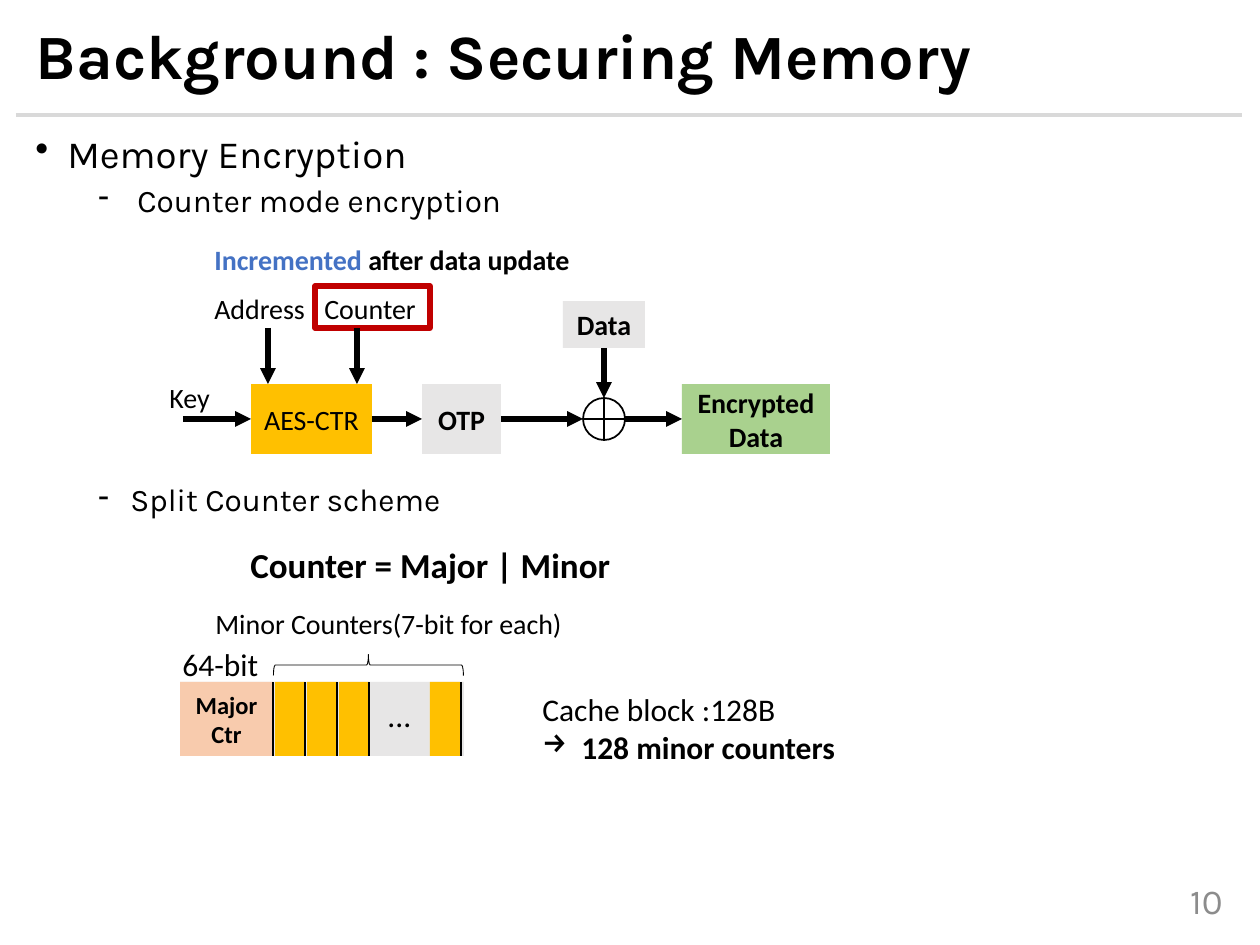
from dataclasses import dataclass
from typing import Optional

from lxml import etree
from pptx import Presentation
from pptx.dml.color import RGBColor
from pptx.enum.shapes import MSO_CONNECTOR, MSO_SHAPE
from pptx.enum.text import MSO_ANCHOR, PP_ALIGN
from pptx.oxml.ns import qn
from pptx.util import Emu, Pt

RECT, OVAL, BRACE = MSO_SHAPE.RECTANGLE, MSO_SHAPE.OVAL, MSO_SHAPE.RIGHT_BRACE
STRAIGHT = MSO_CONNECTOR.STRAIGHT
LEFT, CENTER, RIGHT = PP_ALIGN.LEFT, PP_ALIGN.CENTER, PP_ALIGN.RIGHT
TOP, MIDDLE = MSO_ANCHOR.TOP, MSO_ANCHOR.MIDDLE
SITE_TOP, SITE_LEFT, SITE_BOTTOM, SITE_RIGHT = range(4)

EMU_PER_PX = 914400 / 126
BLACK, GREY, AMBER = "000000", "E7E6E6", "FFC000"


@dataclass
class Span:
    text: str
    size: int = 16
    bold: bool = False
    color: str = BLACK
    font: str = "Calibri"


@dataclass
class Para:
    spans: list[Span]
    bullet: str = ""
    margin: int = 0
    hang: int = 0
    before: float = 0
    spacing: float = 1.0


@dataclass
class Label:
    left: int
    top: int
    width: int
    height: int
    paras: list[Para]
    align: PP_ALIGN = LEFT
    anchor: MSO_ANCHOR = TOP


@dataclass
class Block:
    left: int
    top: int
    width: int
    height: int
    fill: Optional[str] = None
    paras: tuple[Para, ...] = ()
    line: Optional[str] = None
    line_width: float = 1
    kind: MSO_SHAPE = RECT


@dataclass
class Link:
    start: tuple[int, int]
    end: tuple[int, int]
    width: float = 3
    arrow: bool = True
    color: str = BLACK
    source: Optional[tuple] = None
    target: Optional[tuple] = None


def px(value: int) -> Emu:
    return Emu(round(value * EMU_PER_PX))


def rgb(value: str) -> RGBColor:
    return RGBColor.from_string(value)


def para(text: str, size: int = 16, bold: bool = False) -> Para:
    return Para([Span(text, size, bold)])


def write(frame, paras, align, anchor) -> None:
    frame.word_wrap = True
    frame.vertical_anchor = anchor
    for index, item in enumerate(paras):
        line = frame.paragraphs[0] if index == 0 else frame.add_paragraph()
        line.alignment = align
        line.line_spacing = item.spacing
        line.space_before = Pt(item.before)
        if item.bullet:
            props = line._p.get_or_add_pPr()
            props.set("marL", str(px(item.margin)))
            props.set("indent", str(-px(item.hang)))
            etree.SubElement(props, qn("a:buChar")).set("char", item.bullet)
        for span in item.spans:
            run = line.add_run()
            run.text = span.text
            run.font.name = span.font
            run.font.size = Pt(span.size)
            run.font.bold = span.bold
            run.font.color.rgb = rgb(span.color)


def add_label(page, label: Label) -> None:
    box = page.shapes.add_textbox(px(label.left), px(label.top), px(label.width), px(label.height))
    write(box.text_frame, label.paras, label.align, label.anchor)


def add_block(page, block: Block):
    shape = page.shapes.add_shape(
        block.kind, px(block.left), px(block.top), px(block.width), px(block.height))
    shape.shadow.inherit = False
    if block.fill:
        shape.fill.solid()
        shape.fill.fore_color.rgb = rgb(block.fill)
    else:
        shape.fill.background()
    if block.line:
        shape.line.color.rgb = rgb(block.line)
        shape.line.width = Pt(block.line_width)
    else:
        shape.line.fill.background()
    if block.paras:
        write(shape.text_frame, block.paras, CENTER, MIDDLE)
    return shape


def add_link(page, link: Link) -> None:
    line = page.shapes.add_connector(STRAIGHT, *map(px, link.start + link.end))
    line.line.color.rgb = rgb(link.color)
    line.line.width = Pt(link.width)
    if link.arrow:
        outline = line.line._get_or_add_ln()
        etree.SubElement(outline, qn("a:tailEnd")).set("type", "triangle")
    etree.SubElement(line._element.spPr, qn("a:effectLst"))
    if link.source:
        line.begin_connect(*link.source)
    if link.target:
        line.end_connect(*link.target)


def add_text(page) -> None:
    body = [
        Para([Span("Memory Encryption", 22, font="Karla")], "•", 32, 32, 0, 0.9),
        Para([Span("Counter mode encryption", 18, font="Karla")], "-", 102, 39, 5, 0.9),
        Para([Span("Split Counter scheme", 18, font="Karla")], "-", 95, 32, 151.5, 0.9),
    ]
    title = Para([Span("Background : Securing Memory", 36, True, font="Karla")], spacing=0.9)
    number = Para([Span("10", 20, color="8C8C8C", font="Karla")])
    update = Para([Span("Incremented", bold=True, color="4472C4"),
                   Span(" after data update", bold=True)])
    minors = Para([Span("128 minor counters", 18, True)], "→", 39, 39)
    for label in (
        Label(23, 18, 1226, 83, [title], anchor=MIDDLE),
        Label(23, 129, 1226, 730, body),
        Label(1099, 876, 136, 50, [number], RIGHT, MIDDLE),
        Label(202, 236, 495, 47, [update]),
        Label(202, 285, 137, 47, [para("Address")]),
        Label(312, 285, 150, 47, [para("Counter")]),
        Label(157, 374, 81, 47, [para("Key")]),
        Label(238, 537, 418, 55, [para("Counter = Major | Minor", 20, True)]),
        Label(203, 600, 397, 47, [para("Minor Counters(7-bit for each)")]),
        Label(170, 639, 146, 50, [para("64-bit", 18)]),
        Label(530, 684, 430, 89, [para("Cache block :128B", 18), minors]),
    ):
        add_label(page, label)


def add_encryption(page) -> None:
    axis, center, radius = 419, 604, 21
    aes = add_block(page, Block(251, 384, 121, 70, AMBER, (para("AES-CTR"),)))
    otp = add_block(page, Block(422, 384, 79, 70, GREY, (para("OTP", bold=True),)))
    cipher = add_block(page, Block(682, 384, 148, 70, "A9D18E", (para("Encrypted Data", bold=True),)))
    data = add_block(page, Block(563, 301, 82, 47, GREY, (para("Data", bold=True),)))
    add_block(page, Block(center - radius, axis - radius, 2 * radius, 2 * radius,
                          line=BLACK, kind=OVAL))
    add_block(page, Block(315, 286, 115, 42, line="C00000", line_width=3))
    west, east = (center - radius, axis), (center + radius, axis)
    north, south = (center, axis - radius), (center, axis + radius)
    for link in (
        Link(west, east, 1.5, False),
        Link(north, south, 1.5, False),
        Link((268, 328), (268, 384)),
        Link((357, 328), (357, 384)),
        Link((183, axis), (251, axis), target=(aes, SITE_LEFT)),
        Link((372, axis), (422, axis), source=(aes, SITE_RIGHT), target=(otp, SITE_LEFT)),
        Link((501, axis), west, source=(otp, SITE_RIGHT)),
        Link(east, (682, axis), target=(cipher, SITE_LEFT)),
        Link((center, 348), north, source=(data, SITE_BOTTOM)),
    ):
        add_link(page, link)


def add_counter_block(page) -> None:
    top, height, first, pitch, cell = 682, 74, 273, 32, 30
    add_block(page, Block(180, top, 284, height, GREY))
    add_block(page, Block(180, top, first - 180, height, "F8CBAD",
                          (para("Major", 14, True), para("Ctr", 14, True))))
    add_label(page, Label(375, 690, 57, 50, [para("...", 18)]))
    dividers = [first + pitch * index for index in range(4)]
    for left in [divider + 2 for divider in dividers[:3]] + [430]:
        add_block(page, Block(left, top, cell, height, AMBER))
    for x in dividers + [461]:
        add_link(page, Link((x, top), (x, top + height), 1, False))
    brace = add_block(page, Block(358, 570, 21, 190, line=BLACK, line_width=0.5, kind=BRACE))
    brace.rotation = 270


def main() -> None:
    deck = Presentation()
    deck.slide_width, deck.slide_height = px(1260), px(945)
    page = deck.slides.add_slide(deck.slide_layouts[6])
    add_link(page, Link((16, 115), (1242, 115), 2.25, False, "D9D9D9"))
    add_text(page)
    add_encryption(page)
    add_counter_block(page)
    deck.save("out.pptx")


if __name__ == "__main__":
    main()
